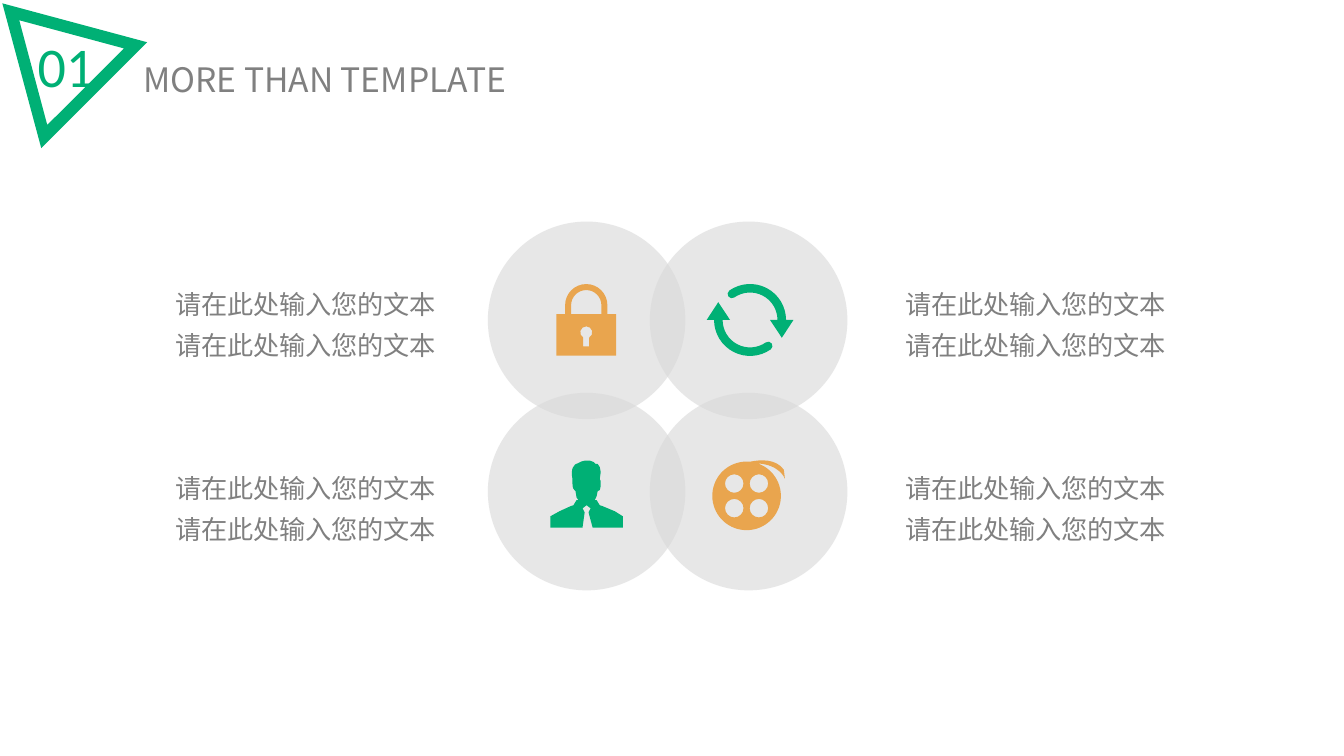
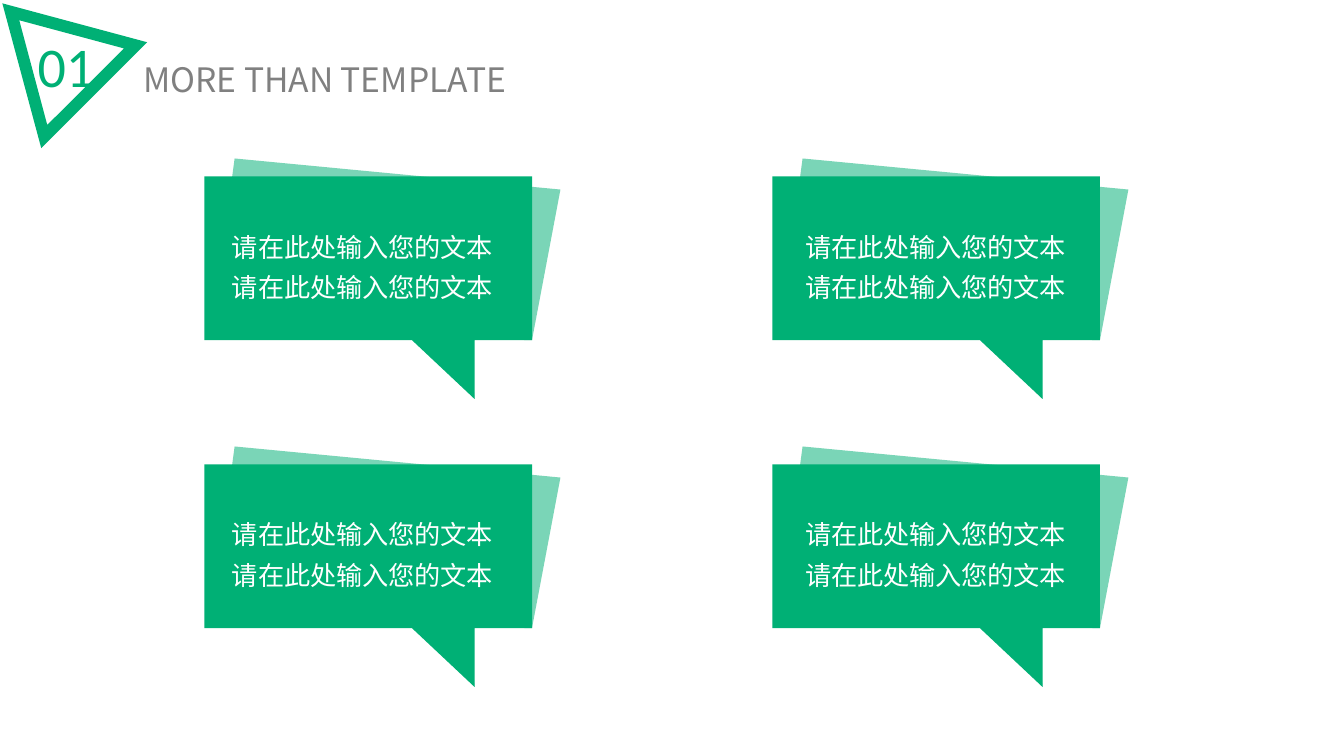
import math

from lxml import etree
from pptx import Presentation
from pptx.dml.color import RGBColor
from pptx.enum import shapes, text
from pptx.oxml import ns
from pptx.util import Pt

COLORS = {"green": "00B075", "orange": "E9A54E", "gray": "808080",
          "silver": "D9D9D9", "white": "FFFFFF"}
SANS = "Noto Sans CJK SC"
BODY_LINES = ["请在此处输入您的文本"] * 2

# A contour lists points for straight lines and triples of points for curves.
BADGE = [[(13.8, 14.5), (33.8, 89.3), (88.6, 34.6)],
         [(1.7, 2.4), (105.1, 30.2), (29.5, 105.8)]]

# Offsets from the top left corner of the front bubble
BUBBLE_FRONT = [(234, 0), (0, 0), (0, 117), (148.3, 117), (193, 159),
                (193, 117), (234, 117)]
BUBBLE_BACK = [(254.3, 9.4), (21.6, -12.8), (5.8, 104.4), (154, 113.8),
               (193, 159), (189.5, 116), (234, 117)]

# Offsets from the top centre of the businessman icon
MAN = [(25.9, 41), (20.2, 37.4), (11.5, 33.8), (9.4, 33.1), (7.2, 29.5),
       (5.8, 29.5), (7.2, 26.6), (7.9, 23), (9.4, 22.3), (10.1, 19.4),
       (10.1, 15.8), (9.4, 14.4), (10.1, 9.4), (9.4, 5.8), (7.9, 3.6),
       (6.5, 3.6), (5, 2.2), ((1.4, 0), (-3.6, 1.4), (-5.8, 2.9)),
       ((-9.4, 3.6), (-11.5, 7.2), (-10.1, 14.4)), (-10.1, 16.6),
       ((-10.1, 18), (-10.1, 21.6), (-8.6, 22.3)), (-7.9, 23),
       (-7.2, 27.4), (-5.8, 29.5), (-7.2, 29.5), (-9.4, 33.1),
       (-11.5, 33.8), (-19.4, 37.4), (-25.9, 41), (-25.9, 49), (-2.9, 49),
       (-1.4, 38.2), (-2.9, 35.3), (0, 33.1), (2.9, 35.3), (1.4, 38.2),
       (4.3, 49), (25.9, 49)]
# Offsets from the centre of the reel
FILM_TAIL = [((23.8, -22.3), (27.4, -12.2), (27.4, -12.2)), (26.6, -18.7),
             ((20.9, -26.6), (10.1, -25.9), (2.9, -24.5))]


def is_curve(segment):
    return isinstance(segment[0], tuple)


def shift(segments, left, top):
    return [tuple(shift(segment, left, top)) if is_curve(segment)
            else (left + segment[0], top + segment[1])
            for segment in segments]


def arc(x, y, radius, start=0, end=360):
    """Start point and curves of an arc; degrees, clockwise from the right."""
    count = math.ceil(abs(end - start) / 90)
    step = math.radians(end - start) / count
    pull = 4 / 3 * math.tan(step / 4)

    def point(angle, offset=0):
        return (x + radius * (math.cos(angle) - offset * math.sin(angle)),
                y + radius * (math.sin(angle) + offset * math.cos(angle)))

    angles = [math.radians(start) + i * step for i in range(count + 1)]
    return [point(angles[0])] + [(point(a, pull), point(b, -pull), point(b))
                                 for a, b in zip(angles, angles[1:])]


class Builder:
    def __init__(self):
        self.deck = Presentation()
        self.deck.slide_width, self.deck.slide_height = Pt(960), Pt(540)
        self.page = None

    def new_page(self, number, title):
        self.page = self.deck.slides.add_slide(self.deck.slide_layouts[6])
        self.label([number], 19.4, 18.7, 55.4, 55.4, "green", 40,
                   font="Calibri", wrap=False)
        self.outline(BADGE, "green")
        self.label([title], 58.7, 38.2, 346.3, 36.7, "gray", 24)

    def paint(self, shape, color, opacity=100):
        shape.shadow.inherit = False
        shape.line.fill.background()
        shape.fill.solid()
        shape.fill.fore_color.rgb = RGBColor.from_string(COLORS[color])
        if opacity < 100:
            srgb = next(shape.element.spPr.iter(ns.qn("a:srgbClr")))
            etree.SubElement(srgb, ns.qn("a:alpha"), val=str(opacity * 1000))

    def circle(self, left, top, size, color, opacity):
        shape = self.page.shapes.add_shape(
            shapes.MSO_SHAPE.OVAL, Pt(left), Pt(top), Pt(size), Pt(size))
        self.paint(shape, color, opacity)

    def outline(self, contours, color, opacity=100):
        """Draw closed contours as one shape; inner contours become holes."""
        builder, counts = None, []
        for first, *segments in contours:
            start = [Pt(value) for value in first]
            if builder is None:
                builder = self.page.shapes.build_freeform(*start)
            else:
                builder.move_to(*start)
            points = []
            for segment in segments:
                added = segment if is_curve(segment) else [segment]
                points += [(Pt(x), Pt(y)) for x, y in added]
                counts.append(len(added))
            builder.add_line_segments(points, close=True)
        shape = builder.convert_to_shape()
        self.bend(shape, counts)
        self.paint(shape, color, opacity)

    def bend(self, shape, counts):
        """Join each run of three control lines into one cubic curve."""
        lines = iter(list(shape.element.iter(ns.qn("a:lnTo"))))
        for count in counts:
            first, *others = [next(lines) for _ in range(count)]
            if others:
                first.tag = ns.qn("a:cubicBezTo")
            for line in others:
                first.append(line[0])
                line.getparent().remove(line)

    def label(self, lines, left, top, width, height, color, size, font=SANS,
              wrap=True, anchor=text.MSO_ANCHOR.MIDDLE, spacing=None):
        box = self.page.shapes.add_textbox(
            Pt(left), Pt(top), Pt(width), Pt(height))
        frame = box.text_frame
        frame.text = "\n".join(lines)
        frame.word_wrap = wrap
        frame.auto_size = text.MSO_AUTO_SIZE.SHAPE_TO_FIT_TEXT
        frame.vertical_anchor = anchor
        for para in frame.paragraphs:
            para.alignment = text.PP_ALIGN.CENTER
            para.line_spacing = spacing
            for span in para.runs:
                span.font.size = Pt(size)
                span.font.name = font
                span.font.color.rgb = RGBColor.from_string(COLORS[color])
                etree.SubElement(span._r.get_or_add_rPr(), ns.qn("a:ea"),
                                 typeface=font)

    def body(self, left, top, color):
        self.label(BODY_LINES, left, top, 210.2, 66.2, color, 18.67,
                   anchor=text.MSO_ANCHOR.TOP, spacing=1.3)

    def lock(self, x, y):
        top, base = y - 4.2, y + 25.4
        shackle = y - 10.6
        body = [(x - 21.4, base), (x - 21.4, top), (x - 15.1, top),
                *arc(x, shackle, 15.1, 180, 360),
                (x + 15.1, top), (x + 21.4, top), (x + 21.4, base)]
        opening = [*arc(x, shackle, 10.8, 180, 360),
                   (x + 10.8, top), (x - 10.8, top)]
        keyhole = [*arc(x, y + 8.8, 4.3, 120, 420),
                   (x + 2.15, y + 18.9), (x - 2.15, y + 18.9)]
        self.outline([body, opening, keyhole], "orange")

    def cycle(self, x, y):
        outer, inner = 25.7, 19.6
        middle, half = (outer + inner) / 2, (outer - inner) / 2
        for turn, sign in ((0, 1), (180, -1)):
            start, end = turn + 180, turn + 55
            cap = (x + middle * math.cos(math.radians(end)),
                   y + middle * math.sin(math.radians(end)))
            head = [(-14.3 * sign, 0), (-22.7 * sign, -12.7 * sign),
                    (-31 * sign, 0)]
            self.outline([[*arc(x, y, outer, start, end),
                           *arc(*cap, half, end, end - 180)[1:],
                           *arc(x, y, inner, end, start)[1:],
                           *shift(head, x, y)]], "green")

    def film_reel(self, x, y):
        disc = [*arc(x, y, 24.5, -90, -431), *shift(FILM_TAIL, x, y)]
        holes = [arc(x + dx, y + dy, 6.6)
                 for dx in (-8.8, 8.8) for dy in (8.8, -8.8)]
        self.outline([disc, *holes], "orange")

    def bubble(self, left, top):
        self.outline([shift(BUBBLE_BACK, left, top)], "green", 52)
        self.outline([shift(BUBBLE_FRONT, left, top)], "green")


def main():
    builder = Builder()

    builder.new_page("01", "MORE THAN TEMPLATE")
    for top in (158.3, 280.6):
        for left in (348.5, 464.2):
            builder.circle(left, top, 141.1, "silver", 61)
    for top in (195.8, 327.3):
        for left in (113.3, 634.5):
            builder.body(left, top, "gray")
    builder.lock(418.8, 228.6)
    builder.cycle(535.8, 228.6)
    builder.outline([shift(MAN, 419, 327.8)], "green")
    builder.film_reel(533.3, 354.2)

    builder.new_page("01", "MORE THAN TEMPLATE")
    rows = ((126, 154.8), (331.7, 360))
    columns = ((146, 153.6), (551.7, 563.3))
    for top, _ in rows:
        for left, _ in columns:
            builder.bubble(left, top)
    for _, top in rows:
        for _, left in columns:
            builder.body(left, top, "white")

    builder.deck.save("out.pptx")


if __name__ == "__main__":
    main()
